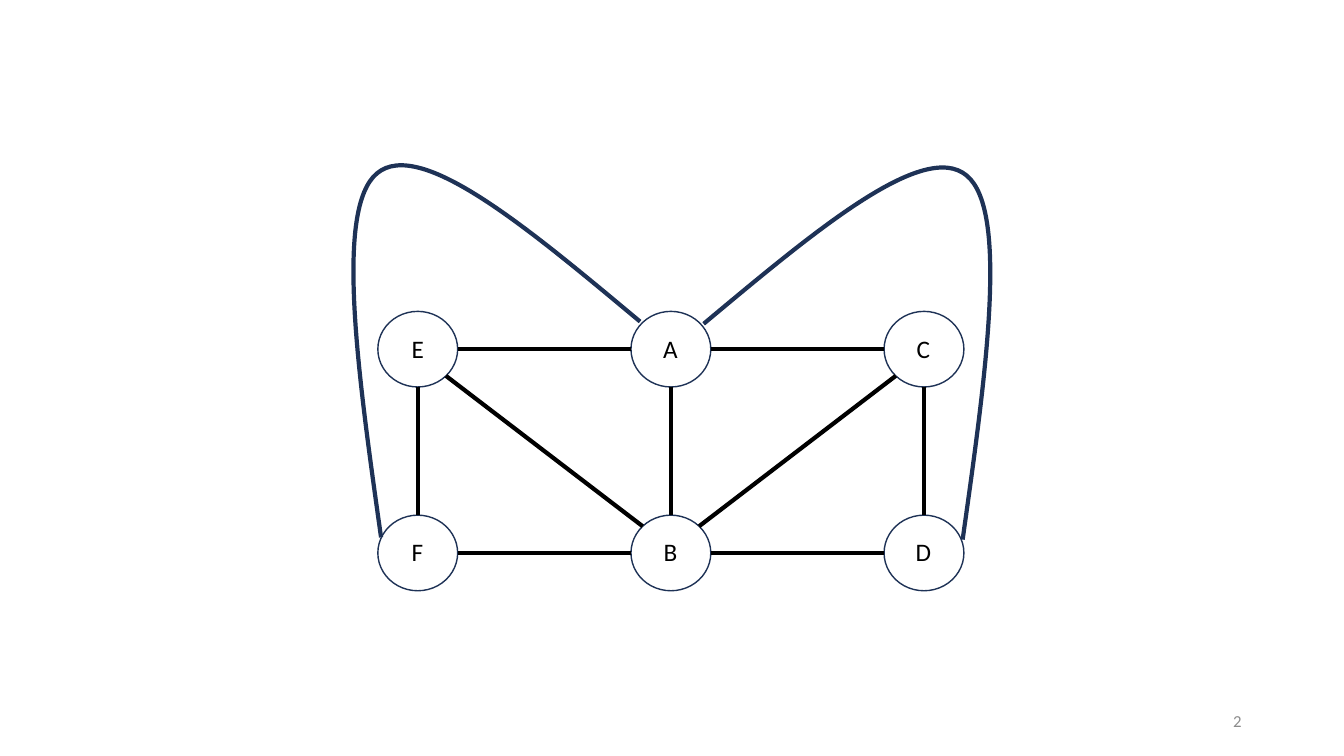
from pptx import Presentation
from pptx import util as u
from pptx.dml.color import RGBColor
from pptx.enum import shapes, text
from pptx.oxml.ns import qn
from lxml import etree

COLORS = {"outline": "1E3256", "edge": "000000", "text": "000000",
          "number": "8C8C8C"}
FONT = "Calibri"

# Node name: (column, row, label width)
NODES = {"A": (1, 0, 25.2), "B": (1, 1, 24.5), "C": (2, 0, 24.5),
         "D": (2, 1, 25.9), "E": (0, 0, 23), "F": (0, 1, 23)}
EDGES = ["EA", "AC", "FB", "BD", "EF", "AB", "CD", "EB", "CB"]
PAGE_NUMBER = "2"

# Outer edge A-F as two cubic curves; A-D is its mirror image, slightly lower
ARC = [[(457.2, 229.7), (378.7, 164.2), (300.2, 97.9), (269.3, 123.8)],
       [(269.3, 123.8), (239, 149), (255.6, 266.4), (272.2, 383.8)]]
MIRROR_X, MIRROR_DROP = 479.9, 1.6
STEPS = 20

NODE_W, NODE_H = 57, 54
LABEL_H, LABEL_RISE = 29, 15.2
LEFT_X, TOP_Y = 298.4, 249.4
COLUMN_GAP, ROW_GAP = 180.8, 145.6


def rgb(name):
    """Return a named colour."""
    return RGBColor.from_string(COLORS[name])


def center(name):
    """Return the centre of a node in points."""
    col, row, _ = NODES[name]
    return LEFT_X + col * COLUMN_GAP, TOP_Y + row * ROW_GAP


def add_text(parent, words, box, size, color, align=None):
    """Add a one-paragraph text box and return its text frame."""
    tf = parent.shapes.add_textbox(*map(u.Pt, box)).text_frame
    p = tf.paragraphs[0]
    p.text, p.alignment = words, align
    p.font.name, p.font.size = FONT, u.Pt(size)
    p.font.color.rgb = rgb(color)
    return tf


def set_line(sp, color, width):
    """Set the line colour and width of a shape or connector."""
    sp.line.color.rgb = rgb(color)
    sp.line.width = u.Pt(width)


def set_outline(sp, width):
    """Leave a shape unfilled, with a plain outline."""
    sp.shadow.inherit = False
    sp.fill.background()
    set_line(sp, "outline", width)


def add_node(parent, name):
    """Draw a graph node and its label."""
    x, y = center(name)
    box = x - NODE_W / 2, y - NODE_H / 2, NODE_W, NODE_H
    sp = parent.shapes.add_shape(shapes.MSO_SHAPE.OVAL, *map(u.Pt, box))
    set_outline(sp, 1)
    width = NODES[name][2]
    tf = add_text(parent, name, (x - width / 2, y - LABEL_RISE, width, LABEL_H),
                  18, "text")
    tf.word_wrap = False
    tf.auto_size = text.MSO_AUTO_SIZE.SHAPE_TO_FIT_TEXT


def add_edge(parent, start, end):
    """Join two nodes with a straight line from rim to rim."""
    (x1, y1), (x2, y2) = center(start), center(end)
    way_x, way_y = (x2 > x1) - (x2 < x1), (y2 > y1) - (y2 < y1)
    reach = 0.5 ** 0.5 if way_x and way_y else 1
    dx, dy = way_x * reach * NODE_W / 2, way_y * reach * NODE_H / 2
    ends = x1 + dx, y1 + dy, x2 - dx, y2 - dy
    line = parent.shapes.add_connector(shapes.MSO_CONNECTOR.STRAIGHT,
                                       *map(u.Pt, ends))
    set_line(line, "edge", 3)
    etree.SubElement(line.element.find(qn("p:spPr")), qn("a:effectLst"))


def bezier(curve, t):
    """Return the point at t on a cubic curve."""
    weights = ((1 - t) ** 3, 3 * t * (1 - t) ** 2, 3 * t * t * (1 - t), t ** 3)
    return tuple(sum(w * pt[i] for w, pt in zip(weights, curve))
                 for i in (0, 1))


def add_arc(parent, curves):
    """Draw an open curved outline, sized by points along its curves."""
    points = [tuple(map(u.Pt, bezier(curve, i / STEPS)))
              for curve in curves for i in range(STEPS + 1)]
    outline = parent.shapes.build_freeform(*points[0])
    outline.add_line_segments(points[1:], close=False)
    sp = outline.convert_to_shape()
    set_outline(sp, 3)
    path = next(sp.element.iter(qn("a:path")))
    for segment in path.findall(qn("a:lnTo")):
        path.remove(segment)
    for curve in curves:
        cubic = etree.SubElement(path, qn("a:cubicBezTo"))
        for x, y in curve[1:]:
            etree.SubElement(cubic, qn("a:pt"), x=str(u.Pt(x) - sp.left),
                             y=str(u.Pt(y) - sp.top))


prs = Presentation()
prs.slide_width, prs.slide_height = u.Pt(960), u.Pt(540)
s = prs.slides.add_slide(prs.slide_layouts[6])

graph = s.shapes.add_group_shape()
for node in NODES:
    add_node(graph, node)
for first, last in EDGES:
    add_edge(graph, first, last)
add_arc(graph, ARC)
add_arc(graph, [[(2 * MIRROR_X - x, y + MIRROR_DROP) for x, y in curve]
                for curve in ARC])

number = add_text(s, PAGE_NUMBER, (678, 500.5, 216, 28.75), 12, "number",
                  text.PP_ALIGN.RIGHT)
number.word_wrap = True
number.vertical_anchor = text.MSO_ANCHOR.MIDDLE

prs.save("out.pptx")
